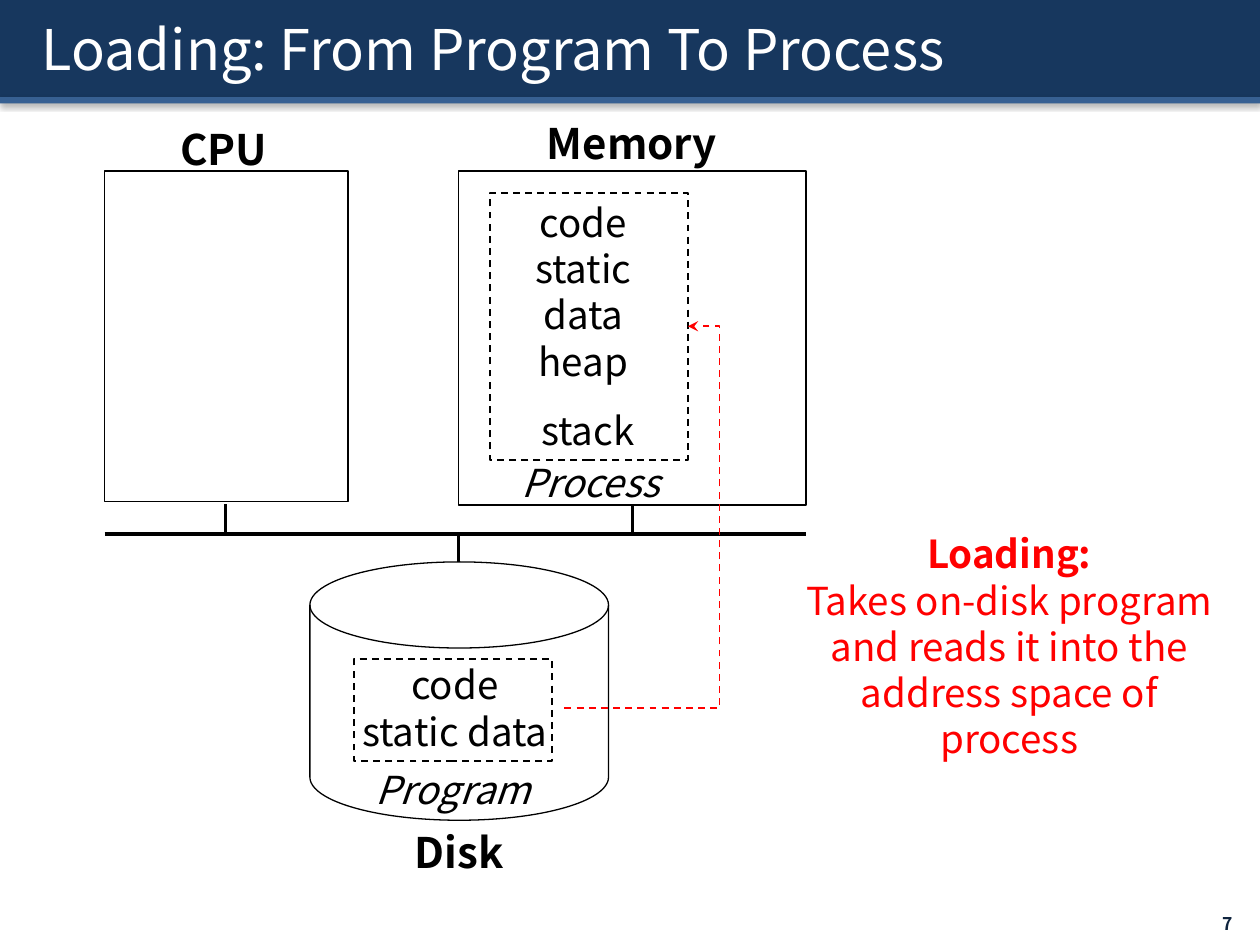
"""Build the slide that explains how loading turns a program into a process."""
from lxml.etree import SubElement
from pptx import Presentation
from pptx.dml.color import RGBColor
from pptx.enum.dml import MSO_LINE
from pptx.enum.shapes import MSO_CONNECTOR, MSO_SHAPE
from pptx.enum.text import MSO_ANCHOR, PP_ALIGN
from pptx.oxml import parse_xml
from pptx.oxml.ns import nsdecls, qn
from pptx.util import Inches, Pt

THEME = {
    "font": "Noto Sans CJK KR",
    "title": 32, "heading": 24, "body": 22, "number": 10,
    "navy": "17375E", "blue": "376092", "ink": "0F243E",
    "black": "000000", "white": "FFFFFF", "red": "FF0000",
}

TITLE = "Loading: From Program To Process"
BANDS = [((0, 0, 10, 0.77), "navy"), ((0, 0.77, 10, 0.05), "blue")]
BUS_Y, STUB = 4.24, 0.22

SHAPES = [
    (MSO_SHAPE.RECTANGLE, (0.83, 1.36, 1.93, 2.62), 1, False),
    (MSO_SHAPE.RECTANGLE, (3.64, 1.36, 2.76, 2.65), 1, False),
    (MSO_SHAPE.RECTANGLE, (3.89, 1.53, 1.57, 2.12), 1, True),
    (MSO_SHAPE.FLOWCHART_MAGNETIC_DISK, (2.46, 4.46, 2.37, 2.05), 0.75, False),
    (MSO_SHAPE.RECTANGLE, (2.81, 5.23, 1.57, 0.81), 1, True),
]
BUS_LINES = [
    ((0.83, BUS_Y), (6.4, BUS_Y)),
    ((1.79, BUS_Y - STUB - 0.02), (1.79, BUS_Y - 0.02)),
    ((5.02, BUS_Y - STUB), (5.02, BUS_Y)),
    ((3.64, BUS_Y), (3.64, BUS_Y + STUB)),
]
LOADING_ARROW = ((4.48, 5.62), (5.46, 2.59))
ARROW_BEND = 125600

HEADING = {"size": "heading", "bold": True}
CAPTION = {"italic": True}
RED = {"color": "red"}
LABELS = [
    ((0.99, 0.93, 1.57, 0.5), [("CPU", HEADING)]),
    ((4.23, 0.88, 1.57, 0.5), [("Memory", HEADING)]),
    ((2.86, 6.51, 1.57, 0.5), [("Disk", HEADING)]),
    ((3.81, 1.53, 1.64, 1.21), [("code", {}), ("static data", {}), ("heap", {})]),
    ((3.88, 3.18, 1.57, 0.47), [("stack", {})]),
    ((3.9, 3.59, 1.57, 0.47), [("Process", CAPTION)]),
    ((2.74, 5.2, 1.74, 0.84), [("code", {}), ("static data", {})]),
    ((2.81, 6.03, 1.57, 0.47), [("Program", CAPTION)]),
    ((6.2, 4.16, 3.62, 1.95), [
        ("Loading:", {"color": "red", "bold": True}),
        ("Takes on-disk program", RED),
        ("and reads it into the address space of process", RED),
    ]),
]
PAGE_NUMBER = ((8.71, 7.21, 1.17, 0.24),
               [("7", {"size": "number", "color": "ink", "bold": True})])


def color(name):
    return RGBColor.from_string(THEME[name])


def shadow_xml(blur, distance, opacity):
    return parse_xml(
        f'<a:effectLst {nsdecls("a")}><a:outerShdw blurRad="{Pt(blur)}" '
        f'dist="{Pt(distance)}" dir="5400000" rotWithShape="0"><a:srgbClr val="000000">'
        f'<a:alpha val="{opacity * 1000}"/></a:srgbClr></a:outerShdw></a:effectLst>')


def add_run(paragraph, text, size="body", color_name="black", bold=False, italic=False):
    run = paragraph.add_run()
    run.text = text
    run.font.name = THEME["font"]
    run.font.size = Pt(THEME[size])
    run.font.bold, run.font.italic = bold, italic
    run.font.color.rgb = color(color_name)
    SubElement(run.font._element, qn("a:ea")).set("typeface", THEME["font"])
    return run


def add_label(slide, box, lines, align=PP_ALIGN.CENTER, anchor=MSO_ANCHOR.TOP):
    frame = slide.shapes.add_textbox(*map(Inches, box)).text_frame
    frame.word_wrap = True
    frame.vertical_anchor = anchor
    for index, (text, style) in enumerate(lines):
        paragraph = frame.add_paragraph() if index else frame.paragraphs[0]
        paragraph.alignment = align
        add_run(paragraph, text, style.get("size", "body"), style.get("color", "black"),
                style.get("bold", False), style.get("italic", False))


def add_block(slide, preset, box, fill):
    block = slide.shapes.add_shape(preset, *map(Inches, box))
    block.shadow.inherit = False
    block.fill.solid()
    block.fill.fore_color.rgb = color(fill)
    return block


def add_line(slide, route, start, end, color_name, width):
    line = slide.shapes.add_connector(route, *map(Inches, start + end))
    line.line.color.rgb = color(color_name)
    line.line.width = Pt(width)
    SubElement(line._element.spPr, qn("a:effectLst"))
    return line


def add_header(slide):
    for position, (box, fill) in enumerate(BANDS):
        band = add_block(slide, MSO_SHAPE.RECTANGLE, box, fill)
        band.line.fill.background()
        properties = band._element.spPr
        properties.replace(properties.find(qn("a:effectLst")), shadow_xml(3.1, 1.6, 38))
        slide.shapes._spTree.insert(2 + position, band._element)
    title = slide.shapes.title
    title.left, title.top, title.width, title.height = map(Inches, (0.23, 0.06, 9.61, 0.64))
    title.text_frame.vertical_anchor = MSO_ANCHOR.MIDDLE
    paragraph = title.text_frame.paragraphs[0]
    paragraph.alignment = PP_ALIGN.LEFT
    run = add_run(paragraph, TITLE, "title", "white")
    run.font._element.find(qn("a:solidFill")).addnext(shadow_xml(3, 2, 60))


def add_loading_arrow(slide):
    arrow = add_line(slide, MSO_CONNECTOR.ELBOW, *LOADING_ARROW, "red", 1)
    arrow.line.dash_style = MSO_LINE.DASH
    SubElement(arrow.line._get_or_add_ln(), qn("a:tailEnd")).set("type", "stealth")
    bend = SubElement(arrow._element.spPr.find(qn("a:prstGeom")).find(qn("a:avLst")), qn("a:gd"))
    bend.set("name", "adj1")
    bend.set("fmla", f"val {ARROW_BEND}")


def build():
    deck = Presentation()
    deck.slide_width, deck.slide_height = Inches(10), Inches(7.5)
    slide = deck.slides.add_slide(deck.slide_layouts[5])
    add_header(slide)
    for preset, box, width, dashed in SHAPES:
        block = add_block(slide, preset, box, "white")
        block.line.color.rgb = color("black")
        block.line.width = Pt(width)
        if dashed:
            block.line.dash_style = MSO_LINE.DASH
    for start, end in BUS_LINES:
        add_line(slide, MSO_CONNECTOR.STRAIGHT, start, end, "black", 2)
    add_loading_arrow(slide)
    for box, lines in LABELS:
        add_label(slide, box, lines)
    add_label(slide, *PAGE_NUMBER, align=PP_ALIGN.RIGHT, anchor=MSO_ANCHOR.MIDDLE)
    deck.save("out.pptx")


build()
